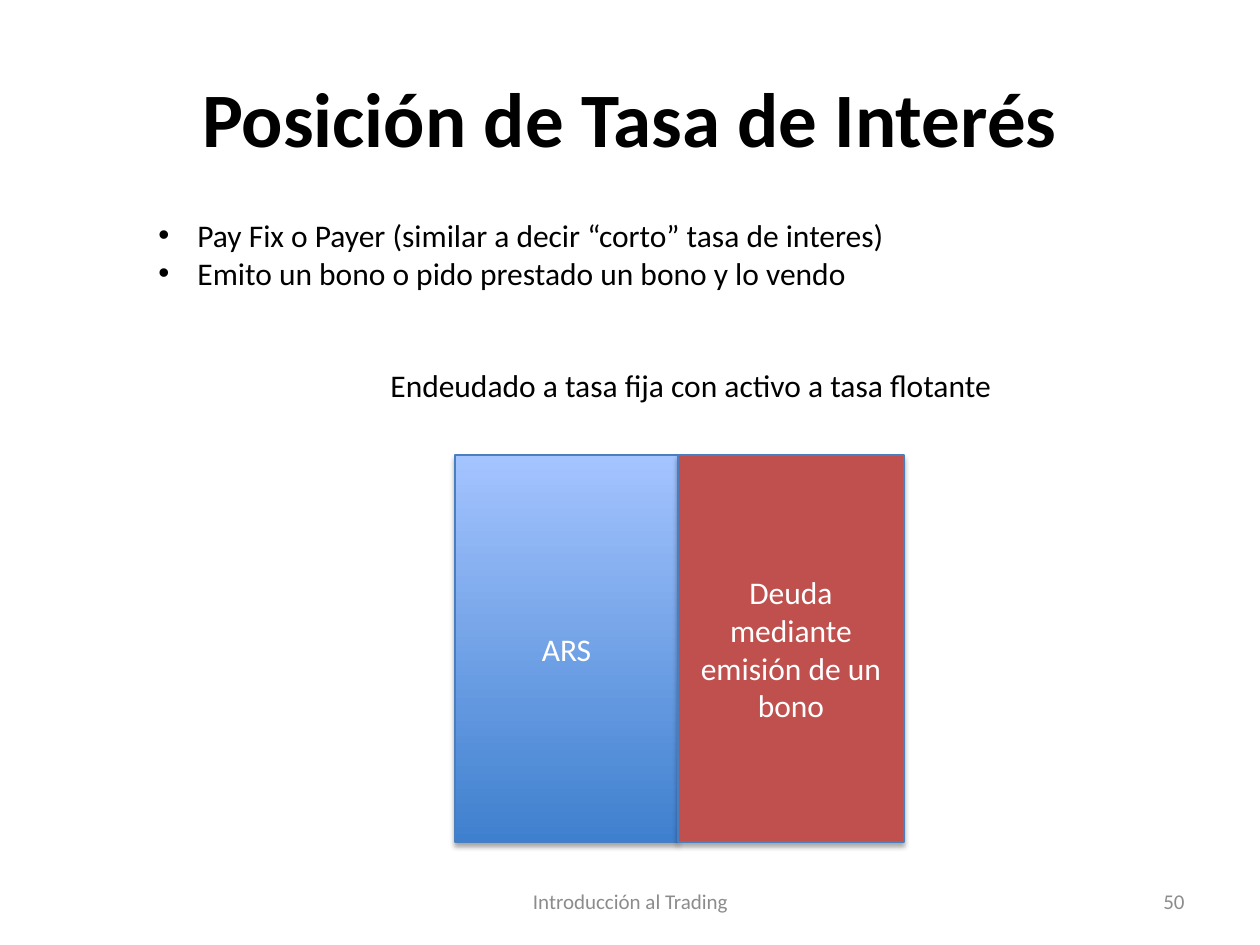
import lxml.etree
import pptx
import pptx.dml.color
import pptx.enum.shapes
import pptx.enum.text
import pptx.oxml.ns
import pptx.util

RGBColor = pptx.dml.color.RGBColor
ALIGN = pptx.enum.text.PP_ALIGN
ANCHOR = pptx.enum.text.MSO_ANCHOR
qn = pptx.oxml.ns.qn

BLACK = RGBColor(0x00, 0x00, 0x00)
WHITE = RGBColor(0xFF, 0xFF, 0xFF)
GRAY = RGBColor(0x8C, 0x8C, 0x8C)
RED = RGBColor(0xC0, 0x50, 0x4D)
DARK_BLUE = RGBColor(0x3F, 0x80, 0xCE)
LIGHT_BLUE = RGBColor(0xA4, 0xC4, 0xFF)
OUTLINE = RGBColor(0x4B, 0x7E, 0xBC)


def px(length):
    return pptx.util.Emu(round(length * 914400 / 126))


class SlideBuilder:
    font_name = "Calibri"
    body_size = 18

    def __init__(self, slide):
        self.slide = slide

    def set_text(self, shape, text, size, color, align, anchor, bold=False, bullet=False):
        text_frame = shape.text_frame
        text_frame.word_wrap = True
        text_frame.vertical_anchor = anchor
        text_frame.text = text
        for paragraph in text_frame.paragraphs:
            paragraph.alignment = align
            if bullet:
                self.add_bullet(paragraph)
            for run in paragraph.runs:
                run.font.name = self.font_name
                run.font.size = pptx.util.Pt(size)
                run.font.bold = bold
                run.font.color.rgb = color

    def add_bullet(self, paragraph):
        properties = paragraph._p.get_or_add_pPr()
        properties.set("marL", str(px(39)))
        properties.set("indent", str(-px(39)))
        lxml.etree.SubElement(properties, qn("a:buFont"), typeface="Arial")
        lxml.etree.SubElement(properties, qn("a:buChar"), char="•")

    def text(self, box, text, size=body_size, color=BLACK, align=ALIGN.LEFT,
             anchor=ANCHOR.TOP, **style):
        shape = self.slide.shapes.add_textbox(*map(px, box))
        self.set_text(shape, text, size, color, align, anchor, **style)

    def block(self, box, text, colors):
        """Draw a shadowed rectangle; two colors make a bottom-to-top gradient."""
        shape = self.slide.shapes.add_shape(
            pptx.enum.shapes.MSO_SHAPE.RECTANGLE, *map(px, box))
        if len(colors) == 1:
            shape.fill.solid()
            shape.fill.fore_color.rgb = colors[0]
        else:
            shape.fill.gradient()
            shape.fill.gradient_angle = 90
            for stop, color in zip(shape.fill.gradient_stops, colors):
                stop.color.rgb = color
        shape.line.color.rgb = OUTLINE
        shape.line.width = pptx.util.Pt(0.75)
        self.add_shadow(shape)
        self.set_text(shape, text, self.body_size, WHITE, ALIGN.CENTER, ANCHOR.MIDDLE)

    def add_shadow(self, shape):
        shape.shadow.inherit = False
        effects = shape._element.spPr.find(qn("a:effectLst"))
        shadow = lxml.etree.SubElement(
            effects, qn("a:outerShdw"), blurRad=str(pptx.util.Pt(3.1)),
            dist=str(pptx.util.Pt(1.8)), dir="5400000", rotWithShape="0")
        color = lxml.etree.SubElement(shadow, qn("a:srgbClr"), val=str(BLACK))
        lxml.etree.SubElement(color, qn("a:alpha"), val="35000")


def main():
    presentation = pptx.Presentation()
    presentation.slide_width = px(1260)
    presentation.slide_height = px(945)
    builder = SlideBuilder(presentation.slides.add_slide(presentation.slide_layouts[6]))

    # Title
    builder.text((63, 38, 1134, 158), "Posición de Tasa de Interés", size=44,
                 align=ALIGN.CENTER, anchor=ANCHOR.MIDDLE, bold=True)

    # Footer and slide number
    footer = {"size": 12, "color": GRAY, "anchor": ANCHOR.MIDDLE}
    builder.text((431, 876, 399, 50), "Introducción al Trading",
                 align=ALIGN.CENTER, **footer)
    builder.text((903, 876, 294, 50), "50", align=ALIGN.RIGHT, **footer)

    # Asset and debt side by side
    builder.block((455, 455, 223, 387), "ARS", [DARK_BLUE, LIGHT_BLUE])
    builder.block((678, 455, 226, 387), "Deuda mediante emisión de un bono", [RED])

    # Caption and bullets
    builder.text((378, 360, 634, 50), "Endeudado a tasa fija con activo a tasa flotante")
    builder.text((146, 210, 760, 127),
                 "Pay Fix o Payer (similar a decir “corto” tasa de interes)\n"
                 "Emito un bono o pido prestado un bono y lo vendo", bullet=True)

    presentation.save("out.pptx")


if __name__ == "__main__":
    main()
